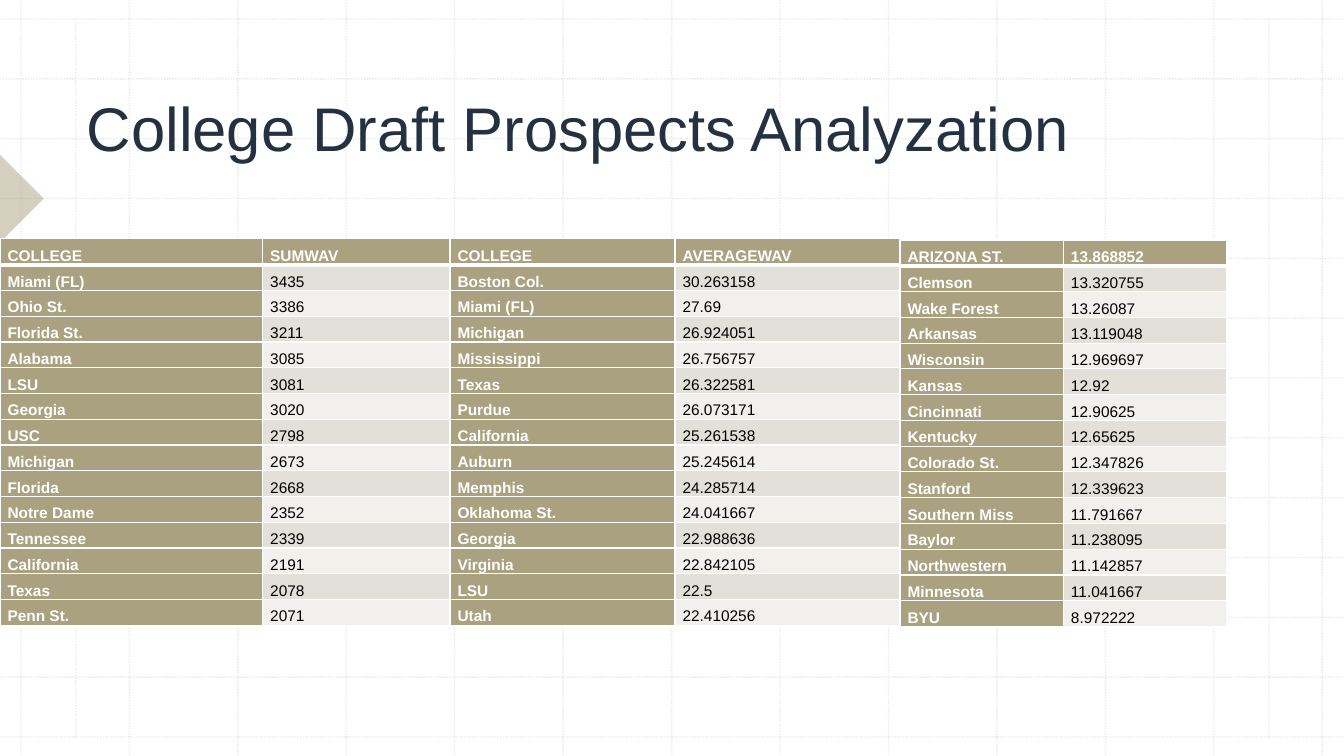
from lxml import etree
from pptx import Presentation
from pptx import util as u
from pptx.dml.color import RGBColor
from pptx.enum import dml, shapes, text
from pptx.oxml.ns import qn


def paint(fill, color, opacity=100):
    fill.solid()
    fill.fore_color.rgb = RGBColor.from_string(color)
    if opacity < 100:
        for color_element in fill._xPr.iter(qn("a:srgbClr")):
            etree.SubElement(color_element, qn("a:alpha"), val=str(opacity * 1000))


def add_border(cell, position, side, points):
    properties = cell._tc.get_or_add_tcPr()
    border = etree.Element(qn(f"a:{side}"), w=str(u.Pt(points)))
    solid = etree.SubElement(border, qn("a:solidFill"))
    etree.SubElement(solid, qn("a:srgbClr"), val="FFFFFF")
    properties.insert(position, border)


TAN = "AAA180"
WIDTH, HEIGHT = 33.87, 19.05
LEFT, RIGHT, TOP, BOTTOM = 0.53, 33.32, 0.48, 18.57
STEPS = 12

presentation = Presentation()
presentation.slide_width = u.Cm(WIDTH)
presentation.slide_height = u.Cm(HEIGHT)
slide = presentation.slides.add_slide(presentation.slide_layouts[5])

grid_lines = [(1.91, TOP, 1.91, BOTTOM), (31.98, TOP, 31.98, BOTTOM)]
for step in range(STEPS + 1):
    x = LEFT + step * (RIGHT - LEFT) / STEPS
    y = TOP + step * (BOTTOM - TOP) / STEPS
    grid_lines += [(x, 0, x, HEIGHT), (0, y, WIDTH, y)]

for ends in grid_lines:
    grid_line = slide.shapes.add_connector(
        shapes.MSO_CONNECTOR.STRAIGHT, *[u.Cm(end) for end in ends])
    grid_line.line.width = u.Pt(1)
    paint(grid_line.line.fill, "BCBCBC", 30)
    grid_line.line.dash_style = dml.MSO_LINE.ROUND_DOT
    etree.SubElement(grid_line._element.spPr, qn("a:effectLst"))

marker = slide.shapes.add_shape(
    shapes.MSO_SHAPE.RIGHT_TRIANGLE, u.Cm(-0.79), u.Cm(4.22), u.Cm(1.57), u.Cm(1.57))
marker.rotation = 225
marker.shadow.inherit = False
marker.line.fill.background()
paint(marker.fill, TAN, 50)

title = slide.shapes.title
slide.shapes._spTree.append(title._element)
title.left, title.top = u.Cm(1.93), u.Cm(2.01)
title.width, title.height = u.Cm(28.68), u.Cm(4.01)
title.text_frame.word_wrap = True
title.text_frame.auto_size = text.MSO_AUTO_SIZE.NONE
title.text_frame.vertical_anchor = text.MSO_ANCHOR.BOTTOM
title.text_frame.margin_bottom = u.Cm(1.88)
paragraph = title.text_frame.paragraphs[0]
paragraph.alignment = text.PP_ALIGN.LEFT
run = paragraph.add_run()
run.text = "College Draft Prospects Analyzation"
run.font.size = u.Pt(44)
run.font.name = "Arial"
paint(run.font.fill, "243141")

total_rows = [
    ("COLLEGE", "SUMWAV"), ("Miami (FL)", "3435"), ("Ohio St.", "3386"),
    ("Florida St.", "3211"), ("Alabama", "3085"), ("LSU", "3081"),
    ("Georgia", "3020"), ("USC", "2798"), ("Michigan", "2673"),
    ("Florida", "2668"), ("Notre Dame", "2352"), ("Tennessee", "2339"),
    ("California", "2191"), ("Texas", "2078"), ("Penn St.", "2071"),
]
highest_average_rows = [
    ("COLLEGE", "AVERAGEWAV"), ("Boston Col.", "30.263158"), ("Miami (FL)", "27.69"),
    ("Michigan", "26.924051"), ("Mississippi", "26.756757"), ("Texas", "26.322581"),
    ("Purdue", "26.073171"), ("California", "25.261538"), ("Auburn", "25.245614"),
    ("Memphis", "24.285714"), ("Oklahoma St.", "24.041667"), ("Georgia", "22.988636"),
    ("Virginia", "22.842105"), ("LSU", "22.5"), ("Utah", "22.410256"),
]
lowest_average_rows = [
    ("ARIZONA ST.", "13.868852"), ("Clemson", "13.320755"), ("Wake Forest", "13.26087"),
    ("Arkansas", "13.119048"), ("Wisconsin", "12.969697"), ("Kansas", "12.92"),
    ("Cincinnati", "12.90625"), ("Kentucky", "12.65625"), ("Colorado St.", "12.347826"),
    ("Stanford", "12.339623"), ("Southern Miss", "11.791667"), ("Baylor", "11.238095"),
    ("Northwestern", "11.142857"), ("Minnesota", "11.041667"), ("BYU", "8.972222"),
]
tables = [
    (0, 6.02, (6.62, 4.72), total_rows),
    (11.34, 6.02, (5.67, 5.67), highest_average_rows),
    (22.68, 6.05, (4.12, 4.12), lowest_average_rows),
]
ROW_HEIGHT = 0.62

for left, top, column_widths, rows in tables:
    table = slide.shapes.add_table(
        len(rows), len(column_widths), u.Cm(left), u.Cm(top),
        u.Cm(sum(column_widths)), u.Cm(ROW_HEIGHT * len(rows))).table
    for column, column_width in zip(table.columns, column_widths):
        column.width = u.Cm(column_width)
    for row_index, row in enumerate(rows):
        for column_index, value in enumerate(row):
            is_heading = row_index == 0 or column_index == 0
            cell = table.cell(row_index, column_index)
            cell.margin_left = cell.margin_right = u.Cm(0.19)
            cell.margin_top = cell.margin_bottom = 0
            band = "E2E0D8" if row_index % 2 else "F1F0ED"
            paint(cell.fill, TAN if is_heading else band)
            for position, side in enumerate(("lnL", "lnR", "lnT", "lnB")):
                under_header = (row_index, side) in ((0, "lnB"), (1, "lnT"))
                add_border(cell, position, side, 3 if under_header else 1)
            paragraph = cell.text_frame.paragraphs[0]
            paragraph.line_spacing = 1.5
            run = paragraph.add_run()
            run.text = value
            run.font.size = u.Pt(11)
            run.font.name = "Arial"
            run.font.bold = is_heading
            paint(run.font.fill, "FFFFFF" if is_heading else "000000")

presentation.save("out.pptx")
